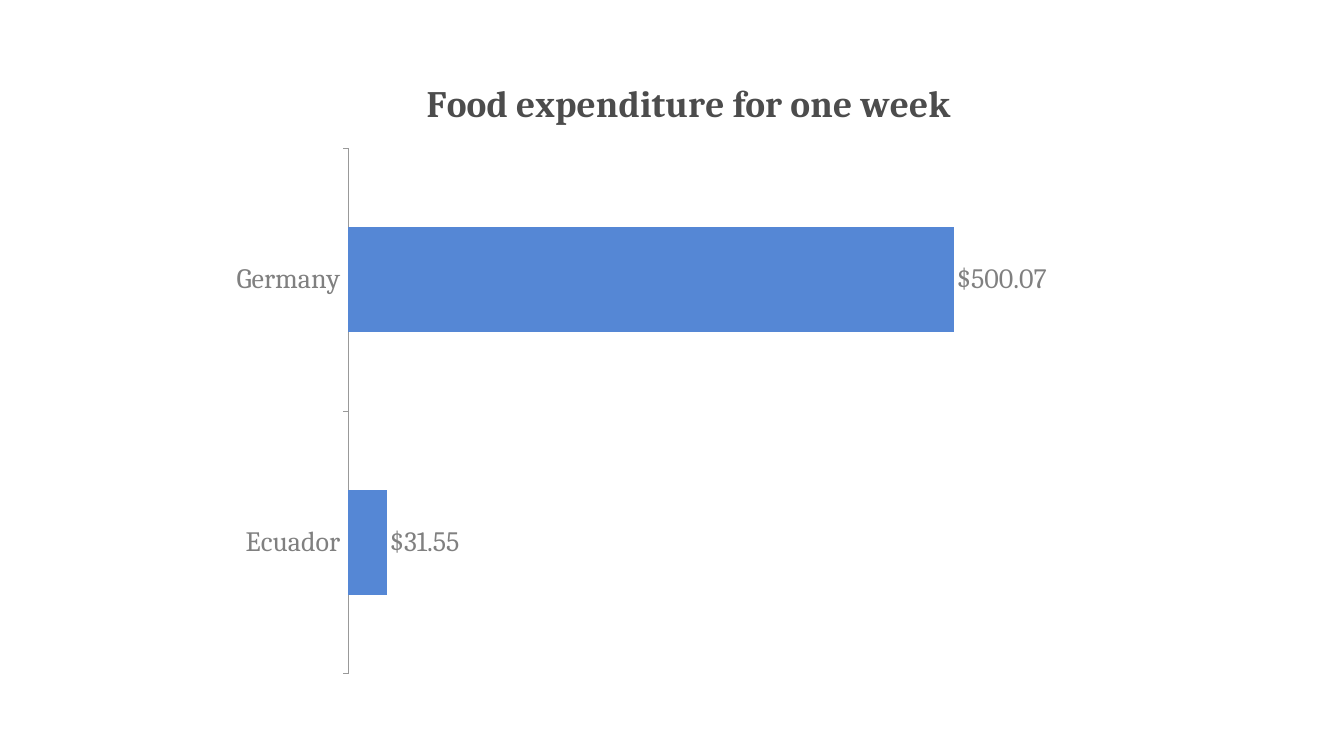
from lxml import etree
from pptx import Presentation
from pptx.chart.data import CategoryChartData
from pptx.dml.color import RGBColor
from pptx.enum import chart as chart_enum
from pptx.oxml import ns
from pptx.util import Cm, Pt

TITLE = "Food expenditure for one week"
EXPENDITURE = {"Germany": 500.07, "Ecuador": 31.55}
DOLLARS = '"$"#,##0.00_);[Red]\\("$"#,##0.00\\)'
FONT = "Cambria"

BAR_BLUE = RGBColor(0x55, 0x87, 0xD5)
TITLE_GREY = RGBColor(0x4C, 0x4C, 0x4C)
LABEL_GREY = RGBColor(0x80, 0x80, 0x80)
AXIS_GREY = RGBColor(0x99, 0x99, 0x99)

TITLE_PLACE = {"x": 0.23, "y": 0.03}
PLOT_PLACE = {"x": 0.148, "y": 0.15, "w": 0.832, "h": 0.828}


def style_font(font, size, color, bold=False):
    font.name = FONT
    font.size = Pt(size)
    font.bold = bold
    font.color.rgb = color


def place(element, index, position, target=None):
    for old in element.findall(ns.qn("c:layout")):
        element.remove(old)
    layout = etree.Element(ns.qn("c:layout"))
    manual = etree.SubElement(layout, ns.qn("c:manualLayout"))
    settings = [("layoutTarget", target)] if target else []
    settings += [(f"{key}Mode", "edge") for key in ("x", "y")]
    settings += position.items()
    for tag, value in settings:
        etree.SubElement(manual, ns.qn(f"c:{tag}")).set("val", str(value))
    element.insert(index, layout)


def add_expenditure_chart(slide):
    data = CategoryChartData(number_format=DOLLARS)
    data.categories = list(EXPENDITURE)
    data.add_series("Series 1", list(EXPENDITURE.values()))
    chart = slide.shapes.add_chart(
        chart_enum.XL_CHART_TYPE.BAR_CLUSTERED,
        Cm(6.63), Cm(1.6), Cm(26.39), Cm(19.2), data,
    ).chart
    chart.has_legend = False
    style_font(chart.font, 10, LABEL_GREY)

    title_frame = chart.chart_title.text_frame
    title_frame.text = TITLE
    style_font(title_frame.paragraphs[0].font, 32, TITLE_GREY, bold=True)
    chart.chart_title.include_in_layout = False

    category_axis = chart.category_axis
    category_axis.reverse_order = True
    category_axis.has_major_gridlines = False
    category_axis.major_tick_mark = chart_enum.XL_TICK_MARK.OUTSIDE
    category_axis.format.line.color.rgb = AXIS_GREY
    category_axis.format.line.width = Pt(0.75)
    style_font(category_axis.tick_labels.font, 24, LABEL_GREY)

    value_axis = chart.value_axis
    value_axis.minimum_scale = 0
    value_axis.maximum_scale = 600
    value_axis.major_unit = 200
    value_axis.has_major_gridlines = False
    value_axis.visible = False

    plot = chart.plots[0]
    plot.gap_width = 150
    plot.vary_by_categories = False
    bars = plot.series[0]
    bars.format.fill.solid()
    bars.format.fill.fore_color.rgb = BAR_BLUE
    labels = bars.data_labels
    labels.show_value = True
    labels.number_format = DOLLARS
    labels.number_format_is_linked = False
    labels.position = chart_enum.XL_LABEL_POSITION.OUTSIDE_END
    style_font(labels.font, 24, LABEL_GREY)

    chart_element = chart.element.find(ns.qn("c:chart"))
    place(chart_element.find(ns.qn("c:title")), 1, TITLE_PLACE)
    place(chart_element.find(ns.qn("c:plotArea")), 0, PLOT_PLACE, "inner")


def main():
    presentation = Presentation()
    presentation.slide_width = Cm(40.64)
    presentation.slide_height = Cm(22.86)
    slide = presentation.slides.add_slide(presentation.slide_layouts[6])
    add_expenditure_chart(slide)
    presentation.save("out.pptx")


if __name__ == "__main__":
    main()
